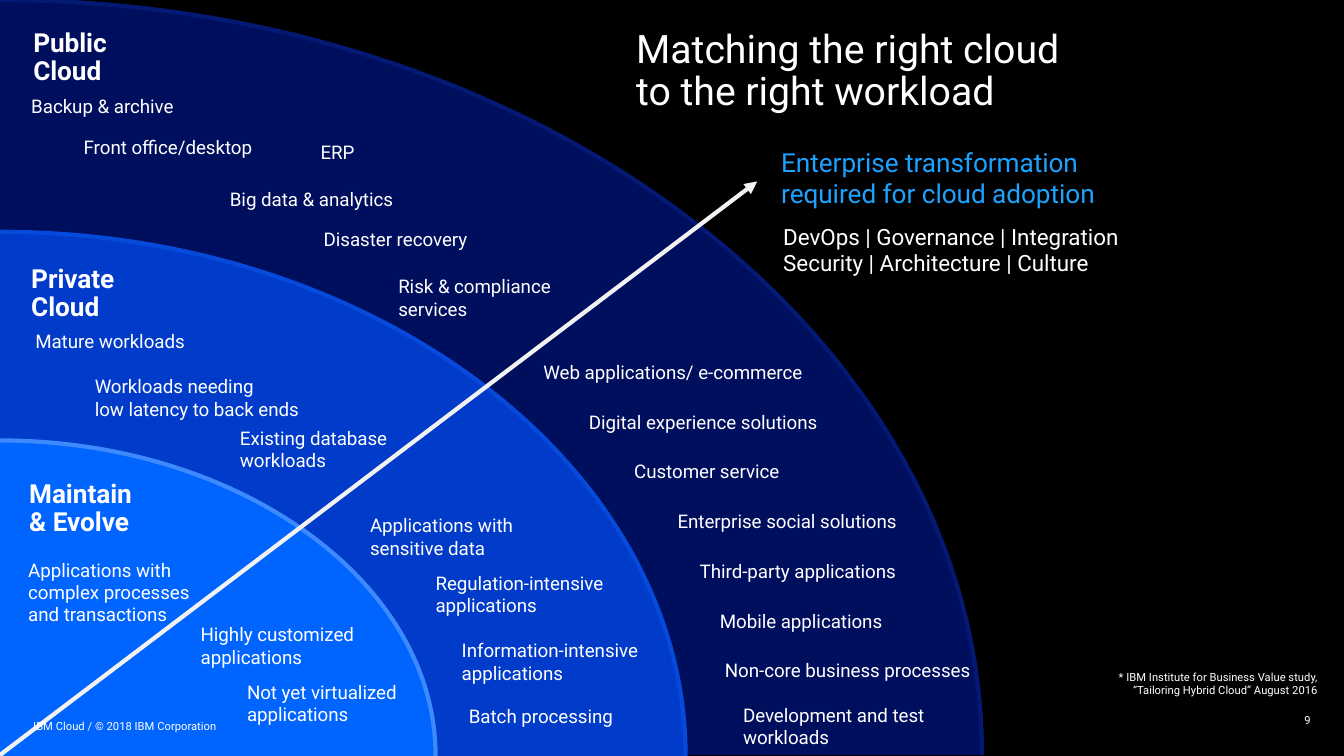
from copy import deepcopy
from dataclasses import dataclass

from lxml import etree
from pptx import Presentation
from pptx.dml.color import RGBColor
from pptx.enum.shapes import MSO_CONNECTOR
from pptx.enum.text import MSO_ANCHOR, MSO_AUTO_SIZE, PP_ALIGN
from pptx.oxml.ns import qn
from pptx.util import Inches, Pt

STRAIGHT = MSO_CONNECTOR.STRAIGHT
TOP, MIDDLE = MSO_ANCHOR.TOP, MSO_ANCHOR.MIDDLE
GROW, FIXED = MSO_AUTO_SIZE.SHAPE_TO_FIT_TEXT, MSO_AUTO_SIZE.NONE
LEFT, RIGHT = PP_ALIGN.LEFT, PP_ALIGN.RIGHT


@dataclass(frozen=True)
class Theme:
    font: str = "Roboto"
    background: str = "000000"
    text: str = "FFFFFF"
    accent: str = "1BA3FF"
    arrow: str = "F2F2F2"
    public: tuple = ("000E5E", "031973")
    private: tuple = ("003BC9", "054ADA")
    maintain: tuple = ("0064FF", "3D8AFF")
    title: float = 28
    heading: float = 18.67
    topics: float = 16
    label: float = 13.33
    note: float = 8
    line: float = 3


@dataclass(frozen=True)
class Box:
    left: float
    top: float
    width: float
    height: float

    def inner(self, dx, dy, width, height):
        return Box(self.left + dx, self.top + dy, width, height)

    def lengths(self):
        return [Inches(v) for v in (self.left, self.top, self.width, self.height)]


THEME = Theme()
QUARTER_ARC = 0.55
LINE_HEIGHT = 0.22

PUBLIC = Box(0, 0, 9.74, 7.49)
PRIVATE = Box(0, 2.3, 6.8, 5.2)
MAINTAIN = Box(0, 4.37, 4.32, 3.13)

EDGE_LABELS = [
    (5.39, 3.06, "Web applications/ e-commerce"),
    (5.84, 2.48, "Digital experience solutions"),
    (6.29, 1.74, "Customer service"),
    (6.72, 2.86, "Enterprise social solutions"),
    (6.94, 3.23, "Third-party applications"),
    (7.14, 2.43, "Mobile applications"),
    (7.19, 4.33, "Non-core business processes"),
]
EDGE_FIRST, EDGE_LAST = 3.58, 6.54
EDGE_STEP = (EDGE_LAST - EDGE_FIRST) / (len(EDGE_LABELS) - 1)
PUBLIC_LABELS = [
    (0.31, 0.94, 2.45, 1, "Backup & archive"),
    (3.18, 1.4, 0.72, 1, "ERP"),
    (2.28, 1.86, 1.72, 1, "Big data & analytics"),
    (0.83, 1.35, 1.82, 1, "Front office/desktop"),
    (3.21, 2.26, 1.58, 1, "Disaster recovery"),
    (3.95, 2.73, 2.22, 2, "Risk & compliance services"),
    *((left, EDGE_FIRST + i * EDGE_STEP, width, 1, words)
      for i, (left, width, words) in enumerate(EDGE_LABELS)),
    (7.37, 6.98, 2.46, 2, "Development and test workloads"),
]
PRIVATE_LABELS = [
    (0.35, 0.97, 2.45, 1, "Mature workloads"),
    (0.94, 1.42, 2.36, 2, "Workloads needing\nlow latency to back ends"),
    (2.38, 1.93, 1.61, 2, "Existing database\nworkloads"),
    (3.67, 2.8, 1.61, 2, "Applications with\vsensitive data"),
    (4.32, 3.37, 1.84, 2, "Regulation-intensive applications"),
    (4.58, 4.04, 1.96, 2, "Information-intensive applications"),
    (4.65, 4.69, 1.61, 1, "Batch processing"),
]
MAINTAIN_LABELS = [
    (1.99, 1.81, 1.79, 2, "Highly customized applications"),
    (2.45, 2.38, 1.55, 2, "Not yet virtualized\vapplications"),
    (0.28, 1.17, 1.61, 3, "Applications with complex processes and transactions"),
]


def add_text(slide, box, words, size, color=THEME.text, bold=False, spacing=None,
             align=LEFT, anchor=TOP, inset=(0, 0), fit=GROW, wrap=True):
    frame = slide.shapes.add_textbox(*box.lengths()).text_frame
    frame.word_wrap = wrap
    frame.auto_size = fit
    frame.vertical_anchor = anchor
    frame.margin_left = frame.margin_right = Inches(inset[0])
    frame.margin_top = frame.margin_bottom = Inches(inset[1])
    for i, line in enumerate(words.split("\n")):
        paragraph = frame.paragraphs[0] if i == 0 else frame.add_paragraph()
        paragraph.alignment = align
        if spacing:
            paragraph.line_spacing = spacing
        for j, part in enumerate(line.split("\v")):
            if j:
                paragraph.add_line_break()
            run = paragraph.add_run()
            run.text = part
            run.font.name = THEME.font
            run.font.size = Pt(size)
            run.font.bold = bold
            run.font.color.rgb = RGBColor.from_string(color)


def draw_ring(slide, box, colors):
    left, top, width, height = box.lengths()
    outline = slide.shapes.build_freeform(left, top)
    outline.add_line_segments(
        [(left + width, top + height), (left, top + height)], close=True)
    ring = outline.convert_to_shape()
    ring.shadow.inherit = False
    fill, line = colors
    ring.fill.solid()
    ring.fill.fore_color.rgb = RGBColor.from_string(fill)
    ring.line.color.rgb = RGBColor.from_string(line)
    ring.line.width = Pt(THEME.line)

    area = next(ring.element.iter(qn("a:path")))
    curve = etree.Element(qn("a:cubicBezTo"))
    for x, y in ((QUARTER_ARC, 0), (1, 1 - QUARTER_ARC), (1, 1)):
        etree.SubElement(curve, qn("a:pt"), x=str(int(x * width)), y=str(int(y * height)))
    area.replace(area[1], curve)
    edge = deepcopy(area)
    for segment in list(edge)[2:]:
        edge.remove(segment)
    area.set("stroke", "0")
    edge.set("fill", "none")
    area.addnext(edge)


def draw_ring_text(slide, box, heading, heading_at, labels, wrap=False):
    add_text(slide, box.inner(*heading_at, 0.57), heading, THEME.heading,
             bold=True, spacing=0.9, wrap=wrap)
    for dx, dy, width, lines, words in labels:
        add_text(slide, box.inner(dx, dy, width, lines * LINE_HEIGHT), words, THEME.label)


def draw_arrow(slide, box):
    left, top, width, height = box.lengths()
    arrow = slide.shapes.add_connector(STRAIGHT, left, top + height, left + width, top)
    arrow.line.color.rgb = RGBColor.from_string(THEME.arrow)
    arrow.line.width = Pt(THEME.line)
    stroke = arrow.element.spPr.find(qn("a:ln"))
    etree.SubElement(stroke, qn("a:tailEnd"), type="triangle")
    etree.SubElement(arrow.element.spPr, qn("a:effectLst"))


def draw_message(slide, box):
    add_text(slide, box.inner(0, 0, 4.55, 1.34),
             "Matching the right cloud to the right workload",
             THEME.title, spacing=0.9, fit=FIXED)
    add_text(slide, box.inner(1.34, 1.11, 3.47, 0.73),
             "Enterprise transformation\nrequired for cloud adoption",
             THEME.heading, THEME.accent, inset=(0.1, 0.05), wrap=False)
    add_text(slide, box.inner(1.36, 1.87, 3.84, 0.64),
             "DevOps | Governance | Integration\nSecurity | Architecture | Culture",
             THEME.topics, inset=(0.1, 0.05))


def draw_footer(slide, box):
    add_text(slide, box.inner(10.53, 0, 2.31, 0.37),
             "* IBM Institute for Business Value study, “Tailoring Hybrid Cloud” August 2016",
             THEME.note, align=RIGHT, inset=(0.1, 0.05))
    add_text(slide, box.inner(0, 0.5, 9.33, 0.2), "IBM Cloud / © 2018 IBM Corporation",
             THEME.note, anchor=MIDDLE, fit=FIXED)
    add_text(slide, box.inner(9.67, 0.44, 3, 0.2), "9",
             THEME.note, align=RIGHT, anchor=MIDDLE, fit=FIXED)


def main():
    deck = Presentation()
    deck.slide_width, deck.slide_height = Inches(13.33), Inches(7.5)
    slide = deck.slides.add_slide(deck.slide_layouts[6])
    slide.background.fill.solid()
    slide.background.fill.fore_color.rgb = RGBColor.from_string(THEME.background)

    draw_ring(slide, PUBLIC, THEME.public)
    draw_ring(slide, PRIVATE, THEME.private)
    draw_ring(slide, MAINTAIN, THEME.maintain)
    draw_arrow(slide, Box(0, 1.8, 7.51, 5.69))
    draw_message(slide, Box(6.31, 0.29, 5.2, 2.51))
    draw_ring_text(slide, MAINTAIN, "Maintain\v& Evolve", (0.29, 0.4, 1.1), MAINTAIN_LABELS)
    draw_ring_text(slide, PRIVATE, "Private Cloud", (0.31, 0.34, 1.31), PRIVATE_LABELS,
                   wrap=True)
    draw_ring_text(slide, PUBLIC, "Public\vCloud", (0.33, 0.3, 0.78), PUBLIC_LABELS)
    draw_footer(slide, Box(0.33, 6.6, 12.84, 0.7))
    deck.save("out.pptx")


if __name__ == "__main__":
    main()
